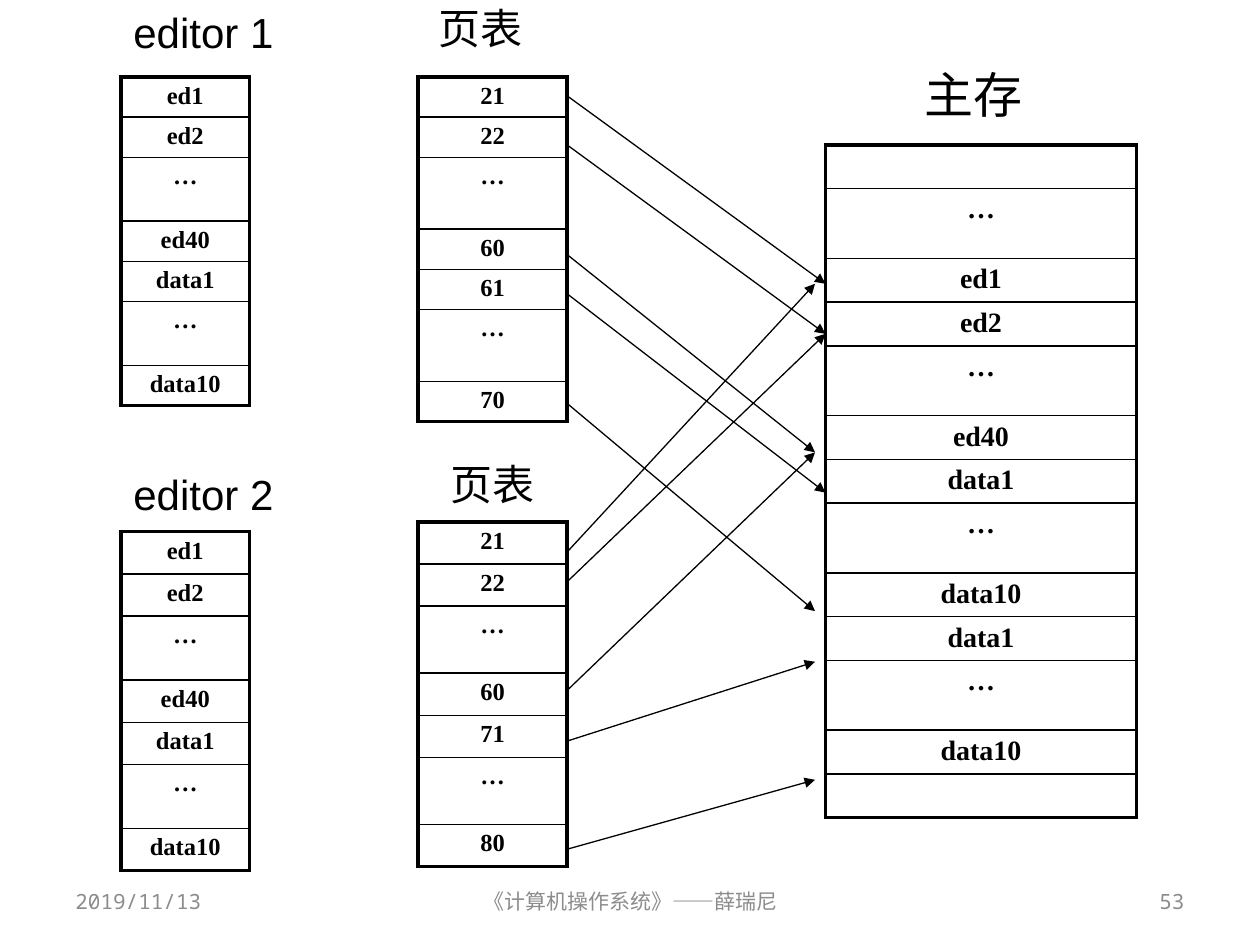
from lxml.etree import SubElement
from pptx import Presentation
from pptx.dml.color import RGBColor
from pptx.enum.shapes import MSO_CONNECTOR
from pptx.enum.text import MSO_ANCHOR, PP_ALIGN
from pptx.oxml import parse_xml
from pptx.oxml.ns import nsdecls, qn
from pptx.util import Cm, Pt

INK, GREY = "000000", "8C8C8C"
THICK, THIN = 2.25, 1
EDITOR = ["ed1", "ed2", "…", "ed40", "data1", "…", "data10"]
PAGES1 = ["21", "22", "…", "60", "61", "…", "70"]
PAGES2 = ["21", "22", "…", "60", "71", "…", "80"]
MEMORY = ["", "…", "ed1", "ed2", "…", "ed40", "data1", "…",
          "data10", "data1", "…", "data10", ""]

# left, top, width, row height, height of a "…" row, text size, rows
TABLES = [
    (2.44, 1.55, 2.59, 0.81, 1.29, 14, EDITOR),
    (8.43, 1.55, 3, 0.81, 1.45, 14, PAGES1),
    (16.64, 2.92, 6.27, 0.88, 1.41, 16, MEMORY),
    (2.44, 10.72, 2.59, 0.85, 1.29, 14, EDITOR),
    (8.43, 10.52, 3, 0.85, 1.35, 14, PAGES2),
]
TITLES = [
    ("editor 1", 2.44, 0, 3.35, 1.27, 24),
    ("editor 2", 2.44, 9.32, 3.35, 1.27, 24),
    ("页表", 8.59, -0.08, 2.21, 1.27, 24),
    ("页表", 8.84, 9.12, 2.21, 1.27, 24),
    ("主存", 18.39, 1.17, 2.49, 1.45, 28),
]
FOOTERS = [
    ("2019/11/13", 1.27, 5.92, PP_ALIGN.LEFT),
    ("《计算机操作系统》——薛瑞尼", 8.69, 8.05, PP_ALIGN.CENTER),
    ("53", 18.21, 5.92, PP_ALIGN.RIGHT),
]
START, EDGE, NEAR = 11.43, 16.64, 16.43
# start height, end x, end height
ARROWS = [
    (1.93, EDGE, 5.72), (2.92, EDGE, 6.73),
    (11.13, NEAR, 5.72), (11.73, EDGE, 6.73),
    (5.13, NEAR, 9.12), (13.92, NEAR, 9.12),
    (5.92, EDGE, 9.93), (8.13, NEAR, 12.32),
    (14.94, NEAR, 13.34), (17.12, NEAR, 15.72),
]


def color(code):
    return RGBColor.from_string(code)


def style(para, size, face, code=INK, bold=False, align=PP_ALIGN.LEFT):
    para.alignment = align
    font = para.font
    font.size, font.name, font.bold = Pt(size), face, bold
    font.color.rgb = color(code)


def add_text(slide, text, box, size, face, code=INK,
             align=PP_ALIGN.LEFT, wrap=False):
    frame = slide.shapes.add_textbox(*map(Cm, box)).text_frame
    frame.word_wrap = wrap
    frame.vertical_anchor = MSO_ANCHOR.MIDDLE if wrap else MSO_ANCHOR.TOP
    frame.text = text
    style(frame.paragraphs[0], size, face, code, align=align)


def set_border(cell, top, bottom):
    """Draw thick sides, and top and bottom lines of the given widths."""
    props = cell._tc.get_or_add_tcPr()
    widths = [("L", THICK), ("R", THICK), ("T", top), ("B", bottom)]
    for place, (side, width) in enumerate(widths):
        props.insert(place, parse_xml(
            f'<a:ln{side} {nsdecls("a")} w="{Pt(width)}"><a:solidFill>'
            f'<a:srgbClr val="{INK}"/></a:solidFill></a:ln{side}>'))


def add_column(slide, left, top, width, low, tall, size, rows):
    """Add a one-column table whose "…" rows are taller."""
    heights = [tall if text == "…" else low for text in rows]
    box = map(Cm, (left, top, width, sum(heights)))
    table = slide.shapes.add_table(len(rows), 1, *box).table
    table.first_row = table.horz_banding = False
    last = len(rows) - 1
    for i, (text, height) in enumerate(zip(rows, heights)):
        table.rows[i].height = Cm(height)
        cell = table.cell(i, 0)
        cell.margin_top = cell.margin_bottom = Cm(0.11)
        cell.fill.background()
        cell.text = text
        style(cell.text_frame.paragraphs[0], size, "Times New Roman",
              bold=True, align=PP_ALIGN.CENTER)
        set_border(cell, THIN if i else THICK, THIN if i < last else THICK)


def add_arrow(slide, start, x, end):
    line = slide.shapes.add_connector(
        MSO_CONNECTOR.STRAIGHT, Cm(START), Cm(start), Cm(x), Cm(end))
    line.line.color.rgb = color(INK)
    line.line.width = Pt(0.75)
    SubElement(line.line._get_or_add_ln(), qn("a:tailEnd"), type="triangle")
    SubElement(line._element.spPr, qn("a:effectLst"))


def main():
    deck = Presentation()
    deck.slide_width, deck.slide_height = Cm(25.4), Cm(19.05)
    slide = deck.slides.add_slide(deck.slide_layouts[6])
    for table in TABLES:
        add_column(slide, *table)
    for text, *box, size in TITLES:
        add_text(slide, text, box, size, "Arial")
    for arrow in ARROWS:
        add_arrow(slide, *arrow)
    for text, left, width, align in FOOTERS:
        add_text(slide, text, (left, 17.65, width, 1.02), 12,
                 "Noto Sans Mono", GREY, align, wrap=True)
    deck.save("out.pptx")


if __name__ == "__main__":
    main()
